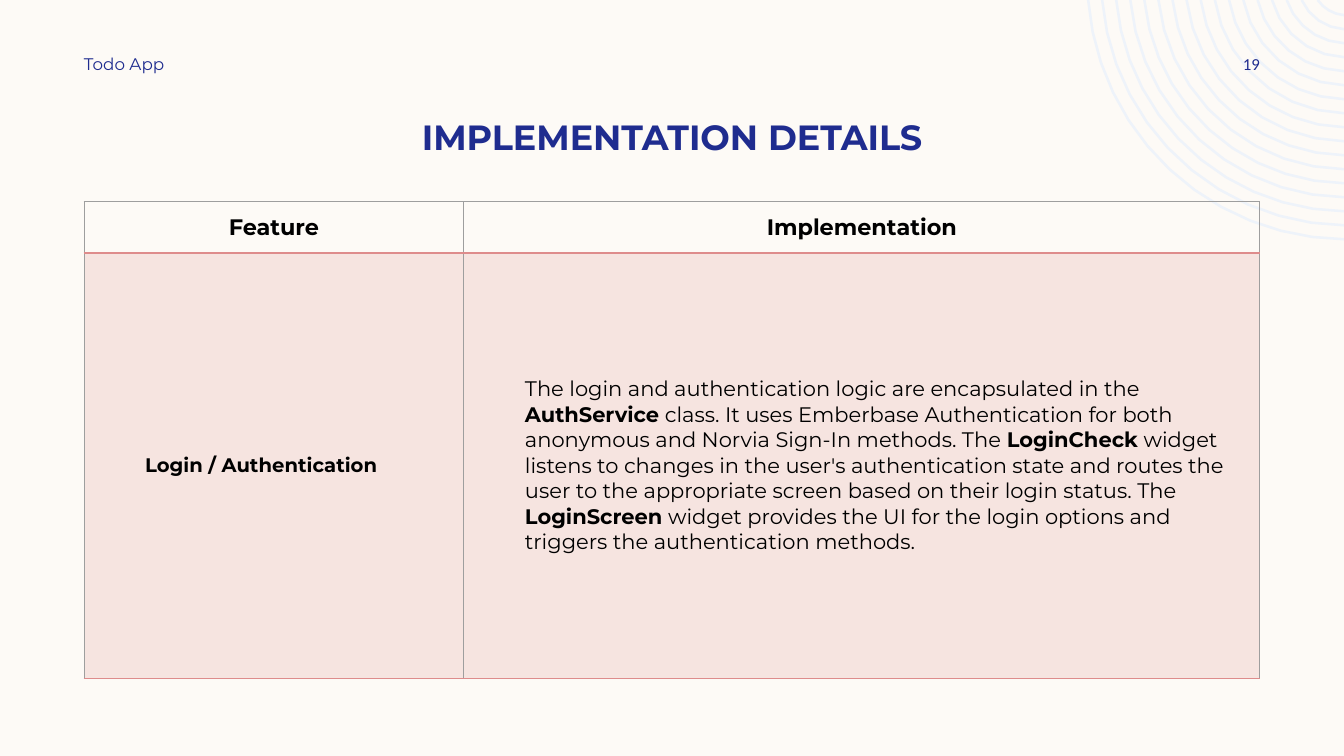
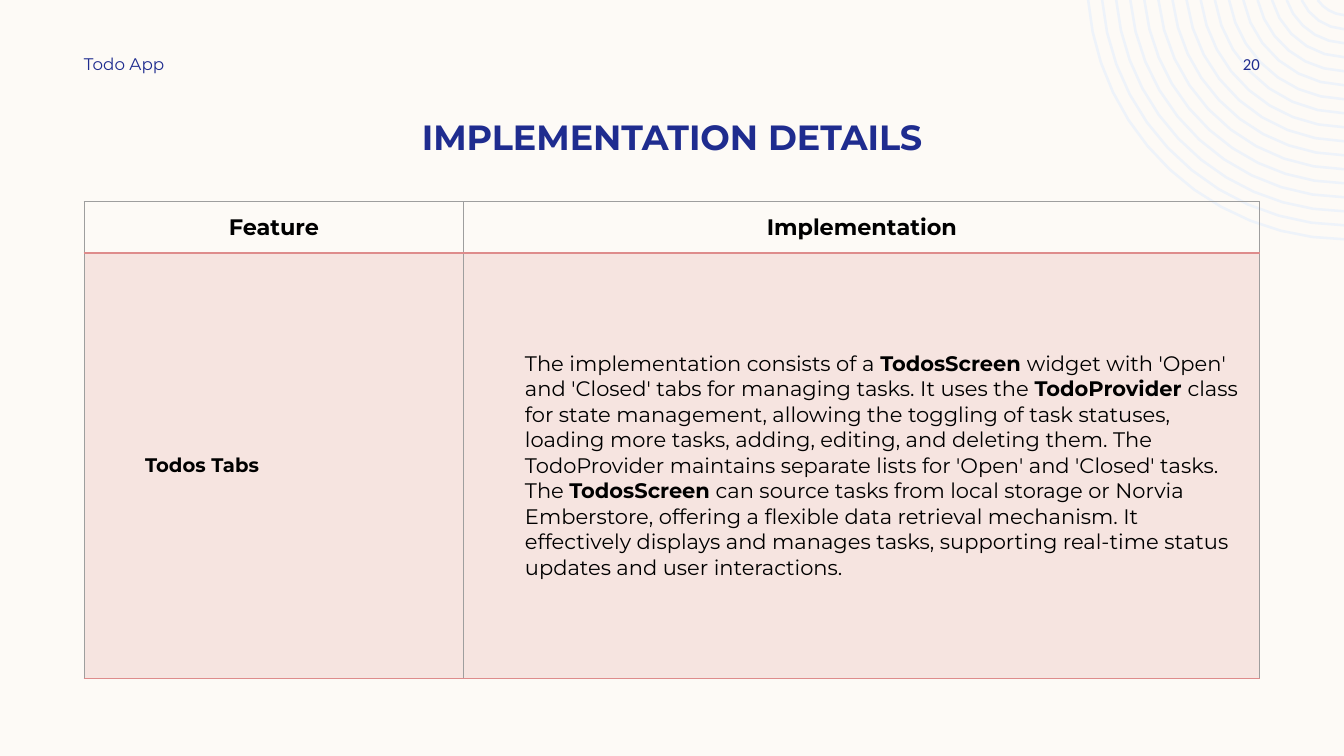
from dataclasses import dataclass
from math import acos, asin, cos, sin

from lxml import etree
from pptx import Presentation
from pptx.dml.color import RGBColor
from pptx.enum.text import MSO_ANCHOR, PP_ALIGN
from pptx.oxml.ns import qn
from pptx.slide import Slide
from pptx.table import _Cell
from pptx.util import Pt

LEFT, CENTER, RIGHT = PP_ALIGN.LEFT, PP_ALIGN.CENTER, PP_ALIGN.RIGHT
MIDDLE, BOTTOM = MSO_ANCHOR.MIDDLE, MSO_ANCHOR.BOTTOM


@dataclass(frozen=True)
class Theme:
    background: str = "FDFAF6"
    navy: str = "1F2C8F"
    ring: str = "EEF3FA"
    rose: str = "DE8C8C"
    grid: str = "9E9E9E"
    ink: str = "000000"
    font: str = "Montserrat"
    number_font: str = "Calibri"
    title_size: float = 25
    header_size: float = 16
    body_size: float = 15
    feature_size: float = 14
    small_size: float = 12


@dataclass(frozen=True)
class Run:
    text: str
    bold: bool = False


@dataclass(frozen=True)
class Style:
    size: float
    color: str
    font: str
    align: PP_ALIGN = LEFT


@dataclass(frozen=True)
class Box:
    left: float
    top: float
    width: float
    height: float


@dataclass(frozen=True)
class Border:
    color: str
    width: float


@dataclass(frozen=True)
class Page:
    number: str
    feature: str
    implementation: tuple[Run, ...]


THEME = Theme()
TITLE = Style(THEME.title_size, THEME.navy, THEME.font, CENTER)
APP_NAME = Style(THEME.small_size, THEME.navy, THEME.font)
NUMBER = Style(THEME.small_size, THEME.navy, THEME.number_font, RIGHT)
HEADER = Style(THEME.header_size, THEME.ink, THEME.font, CENTER)
FEATURE = Style(THEME.feature_size, THEME.ink, THEME.font)
BODY = Style(THEME.body_size, THEME.ink, THEME.font)

SLIDE_WIDTH, SLIDE_HEIGHT = 960, 540
TITLE_BOX = Box(60, 55.4, 840, 60.5)
APP_BOX = Box(60, 36, 252, 19.4)
NUMBER_BOX = Box(822, 36, 78, 19.4)
TABLE_BOX = Box(60, 144, 840, 340.6)
COLUMNS = (271.4, 568.6)
ROWS = (36.7, 303.9)
CELL_MARGIN = 7.6
BODY_INDENT = 36
TINT_PERCENT = 20

GRID_LINE = Border(THEME.grid, 0.75)
HEADER_LINE = Border(THEME.rose, 2)
BOTTOM_LINE = Border(THEME.rose, 1)

RING_X, RING_Y = 962, -14.4
RING_COUNT, RING_STEP = 17, 10
RING_RADIUS, RING_WIDTH = 25.3, 1.8

PAGES = (
    Page("19", "Login / Authentication", (
        Run("The login and authentication logic are encapsulated in the "),
        Run("AuthService", True),
        Run(" class. It uses Emberbase Authentication for both anonymous and "
            "Norvia Sign-In methods. The "),
        Run("LoginCheck", True),
        Run(" widget listens to changes in the user's authentication state and "
            "routes the user to the appropriate screen based on their login "
            "status. The "),
        Run("LoginScreen", True),
        Run(" widget provides the UI for the login options and triggers the "
            "authentication methods."),
    )),
    Page("20", "Todos Tabs", (
        Run("The implementation consists of a "),
        Run("TodosScreen ", True),
        Run("widget with 'Open' and 'Closed' tabs for managing tasks. It uses the "),
        Run("TodoProvider ", True),
        Run("class for state management, allowing the toggling of task statuses, "
            "loading more tasks, adding, editing, and deleting them. The "
            "TodoProvider maintains separate lists for 'Open' and 'Closed' "
            "tasks. The "),
        Run("TodosScreen", True),
        Run(" can source tasks from local storage or Norvia Emberstore, offering "
            "a flexible data retrieval mechanism. It effectively displays and "
            "manages tasks, supporting real-time status updates and user "
            "interactions."),
    )),
)


def rgb(color: str) -> RGBColor:
    return RGBColor.from_string(color)


def write(tf, runs: tuple[Run, ...], style: Style) -> None:
    p = tf.paragraphs[0]
    p.alignment = style.align
    for run in runs:
        r = p.add_run()
        r.text = run.text
        r.font.size = Pt(style.size)
        r.font.name = style.font
        r.font.bold = run.bold
        r.font.color.rgb = rgb(style.color)


def add_text(s: Slide, box: Box, run: Run, style: Style, anchor: MSO_ANCHOR,
             left: float = 7.2, right: float = 7.2) -> None:
    sp = s.shapes.add_textbox(Pt(box.left), Pt(box.top), Pt(box.width), Pt(box.height))
    tf = sp.text_frame
    tf.word_wrap = True
    tf.vertical_anchor = anchor
    tf.margin_left, tf.margin_right = Pt(left), Pt(right)
    write(tf, (run,), style)


def arc(radius: float, steps: int) -> list[tuple[int, int]]:
    start = asin(-RING_Y / radius)
    end = acos((RING_X - SLIDE_WIDTH) / radius)
    angles = [start + (end - start) * i / steps for i in range(steps + 1)]
    return [(Pt(RING_X - radius * cos(a)), Pt(max(0, RING_Y + radius * sin(a))))
            for a in angles]


def add_rings(s: Slide) -> None:
    arcs = [arc(RING_RADIUS + i * RING_STEP, 4 + i // 2) for i in range(RING_COUNT)]
    builder = s.shapes.build_freeform(*arcs[0][0])
    for i, points in enumerate(arcs):
        if i:
            builder.move_to(*points[0])
        builder.add_line_segments(points[1:], close=False)
    sp = builder.convert_to_shape()
    sp.shadow.inherit = False
    sp.fill.background()
    sp.line.color.rgb = rgb(THEME.ring)
    sp.line.width = Pt(RING_WIDTH)


def set_border(cell: _Cell, side: str, border: Border) -> None:
    tc_pr = cell._tc.get_or_add_tcPr()
    ln = etree.SubElement(tc_pr, qn(f"a:ln{side}"), w=str(Pt(border.width)))
    fill = etree.SubElement(ln, qn("a:solidFill"))
    etree.SubElement(fill, qn("a:srgbClr"), val=border.color)


def fill_cell(cell: _Cell, runs: tuple[Run, ...], style: Style, is_body: bool) -> None:
    cell.vertical_anchor = MIDDLE
    cell.margin_left = Pt(CELL_MARGIN + (BODY_INDENT if is_body else 0))
    cell.margin_right = Pt(CELL_MARGIN)
    write(cell.text_frame, runs, style)
    borders = {
        "L": GRID_LINE,
        "R": GRID_LINE,
        "T": HEADER_LINE if is_body else GRID_LINE,
        "B": BOTTOM_LINE if is_body else HEADER_LINE,
    }
    for side, border in borders.items():
        set_border(cell, side, border)
    if is_body:
        cell.fill.solid()
        cell.fill.fore_color.rgb = rgb(THEME.rose)
        color = cell._tc.tcPr.find(qn("a:solidFill")).find(qn("a:srgbClr"))
        etree.SubElement(color, qn("a:alpha"), val=str(TINT_PERCENT * 1000))
    else:
        cell.fill.background()


def add_feature_table(s: Slide, page: Page) -> None:
    box = TABLE_BOX
    table = s.shapes.add_table(len(ROWS), len(COLUMNS), Pt(box.left), Pt(box.top),
                               Pt(box.width), Pt(box.height)).table
    table.first_row = table.horz_banding = False
    for column, width in zip(table.columns, COLUMNS):
        column.width = Pt(width)
    for row, height in zip(table.rows, ROWS):
        row.height = Pt(height)
    rows = (
        (((Run("Feature", True),), HEADER), ((Run("Implementation", True),), HEADER)),
        (((Run(page.feature, True),), FEATURE), (page.implementation, BODY)),
    )
    for i, row in enumerate(rows):
        for j, (runs, style) in enumerate(row):
            fill_cell(table.cell(i, j), runs, style, is_body=i > 0)


def add_page(prs, page: Page) -> None:
    s = prs.slides.add_slide(prs.slide_layouts[6])
    add_rings(s)
    add_text(s, TITLE_BOX, Run("IMPLEMENTATION DETAILS", True), TITLE, BOTTOM)
    add_text(s, APP_BOX, Run("Todo App"), APP_NAME, MIDDLE, left=0, right=0)
    add_text(s, NUMBER_BOX, Run(page.number), NUMBER, MIDDLE, right=0)
    add_feature_table(s, page)


def main() -> None:
    prs = Presentation()
    prs.slide_width, prs.slide_height = Pt(SLIDE_WIDTH), Pt(SLIDE_HEIGHT)
    fill = prs.slide_master.background.fill
    fill.solid()
    fill.fore_color.rgb = rgb(THEME.background)
    for page in PAGES:
        add_page(prs, page)
    prs.save("out.pptx")


if __name__ == "__main__":
    main()
